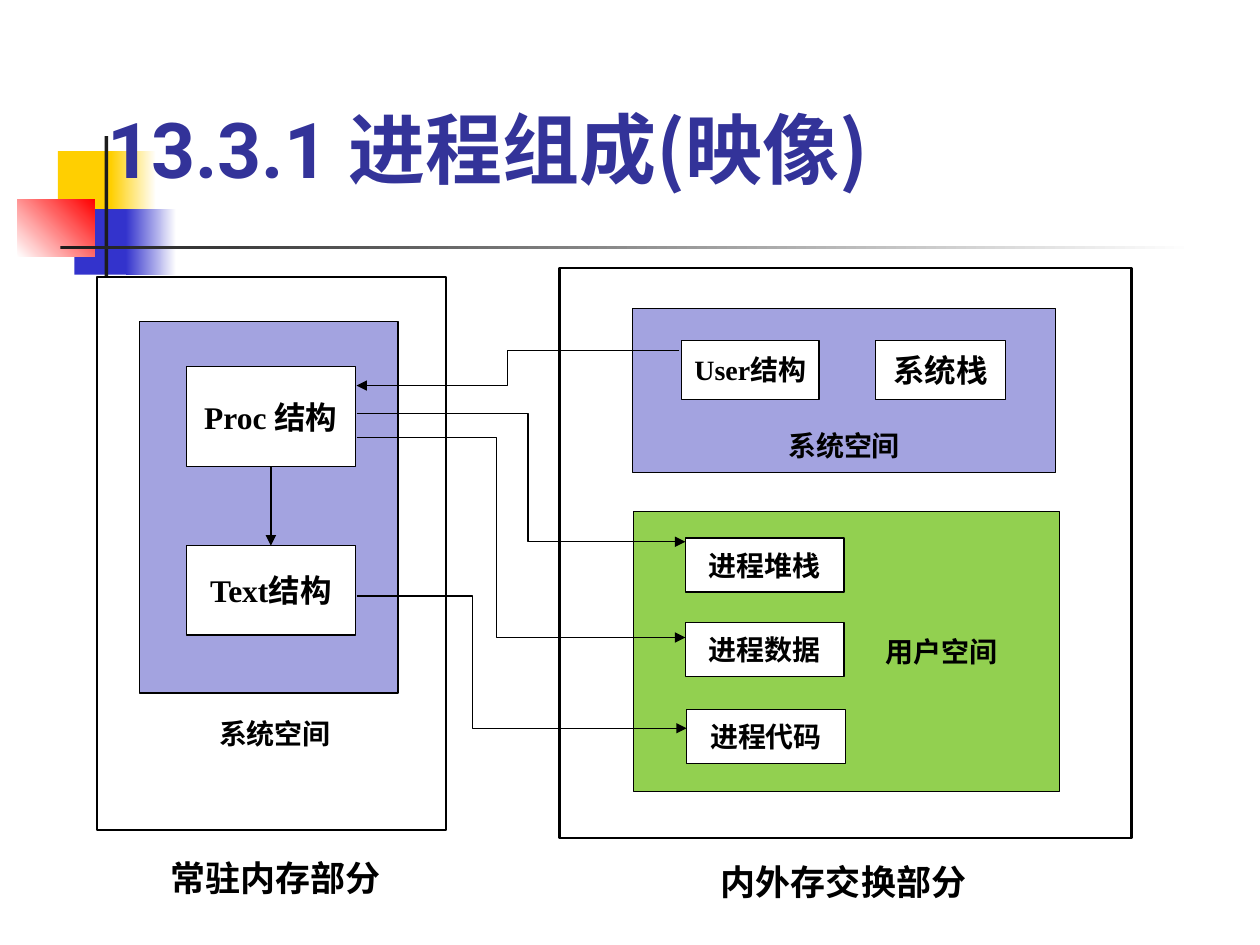
"""Build the slide on the parts of a process image and where they live in memory."""
import pptx
import pptx.util
import pptx.dml.color
import pptx.enum.shapes
import pptx.enum.text
import pptx.oxml.ns
import lxml.etree

Inches = pptx.util.Inches
qn = pptx.oxml.ns.qn
RECT = pptx.enum.shapes.MSO_SHAPE.RECTANGLE
ANCHOR = pptx.enum.text.MSO_ANCHOR
ALIGN = pptx.enum.text.PP_ALIGN


def paint(fill, *colours, angle=0):
    rgbs = [pptx.dml.color.RGBColor.from_string(c) for c in colours]
    if len(rgbs) == 1:
        fill.solid()
        fill.fore_color.rgb = rgbs[0]
    else:
        fill.gradient()
        fill.gradient_angle = angle
        for stop, rgb in zip(fill.gradient_stops, rgbs):
            stop.color.rgb = rgb


def write(tf, text, size=16, font="Times New Roman", colour="000000",
          align=ALIGN.CENTER, anchor=ANCHOR.MIDDLE):
    tf.word_wrap = True
    tf.vertical_anchor = anchor
    p = tf.paragraphs[0]
    p.alignment = align
    r = p.add_run()
    r.text = text
    r.font.size = pptx.util.Pt(size)
    r.font.bold = True
    r.font.name = font
    paint(r.font.fill, colour)
    ea = lxml.etree.SubElement(r.font._element, qn("a:ea"))
    ea.set("typeface", "Noto Sans CJK SC")


prs = pptx.Presentation()
prs.slide_width, prs.slide_height = Inches(10), Inches(7.5)
s = prs.slides.add_slide(prs.slide_layouts[5])

ornaments = [
    (0.46, 1.2, 0.48, 0.52, ["FFCF01"], 0),
    (0.88, 1.2, 0.36, 0.52, ["FFCF01", "FFFFFF"], 0),
    (0.59, 1.66, 0.46, 0.52, ["3333CC"], 0),
    (1, 1.66, 0.4, 0.52, ["3333CC", "FFFFFF"], 0),
    (0.14, 1.58, 0.61, 0.46, ["FFFFFF", "FF0000"], 45),
    (0.83, 1.08, 0.03, 1.15, ["1C1C1C"], 0),
    (0.48, 1.95, 9, 0.03, ["1C1C1C", "FFFFFF"], 0),
]
for x, y, w, h, colours, angle in ornaments:
    sp = s.shapes.add_shape(RECT, Inches(x), Inches(y), Inches(w), Inches(h))
    sp.shadow.inherit = False
    sp.line.fill.background()
    paint(sp.fill, *colours, angle=angle)

title = s.shapes.title
s.shapes._spTree.append(title._element)
title.left, title.top = Inches(0.75), Inches(0.34)
title.width, title.height = Inches(8.5), Inches(1.25)
for text, font in [("13.3.1 进程组成", "Roboto"), ("(映像)", "Noto Sans CJK SC")]:
    write(title.text_frame, text, size=44, font=font, colour="333399",
          align=ALIGN.LEFT, anchor=ANCHOR.BOTTOM)

regions = [
    (0.77, 2.2, 2.77, 4.39, "FFFFFF", 1.25),
    (4.44, 2.13, 4.54, 4.52, "FFFFFF", 1.25),
    (1.11, 2.55, 2.05, 2.95, "A3A3E0", 0.75),
    (5.02, 2.45, 3.36, 1.3, "A3A3E0", 0.75),
    (5.03, 4.06, 3.38, 2.22, "92D050", 0.75),
]
parts = [
    ("Proc 结构", 1.48, 2.91, 1.34, 0.79, 18),
    ("Text结构", 1.48, 4.33, 1.34, 0.71, 18),
    ("User结构", 5.41, 2.7, 1.09, 0.47, 16),
    ("系统栈", 6.95, 2.7, 1.03, 0.47, 18),
    ("进程堆栈", 5.44, 4.27, 1.26, 0.43, 16),
    ("进程数据", 5.44, 4.94, 1.26, 0.43, 16),
    ("进程代码", 5.45, 5.63, 1.26, 0.43, 16),
]
boxes = []
for x, y, w, h, colour, weight in regions + [(*part[1:5], "FFFFFF", 0.75) for part in parts]:
    sp = s.shapes.add_shape(RECT, Inches(x), Inches(y), Inches(w), Inches(h))
    sp.shadow.inherit = False
    paint(sp.fill, colour)
    paint(sp.line.fill, "000000")
    sp.line.width = pptx.util.Pt(weight)
    boxes.append(sp)

swap_system, user_space = boxes[3:5]
swap_system.text_frame.margin_bottom = Inches(0.08)
write(swap_system.text_frame, "系统空间", anchor=ANCHOR.BOTTOM)
user_space.text_frame.margin_left = Inches(1.6)
write(user_space.text_frame, "用户空间")

part_boxes = boxes[len(regions):]
for sp, part in zip(part_boxes, parts):
    write(sp.text_frame, part[0], size=part[5])

captions = [
    ("常驻内存部分", 1.03, 6.75, 2.31, 0.44, 20, ALIGN.CENTER),
    ("内外存交换部分", 5.54, 6.78, 2.31, 0.44, 20, ALIGN.CENTER),
    ("系统空间", 1.64, 5.64, 1.11, 0.37, 16, ALIGN.LEFT),
]
for text, x, y, w, h, size, align in captions:
    tb = s.shapes.add_textbox(Inches(x), Inches(y), Inches(w), Inches(h))
    write(tb.text_frame, text, size=size, align=align, anchor=ANCHOR.TOP)

elbows = [
    (5.39, 2.78, 4.03, 2.83, 3.06),
    (2.83, 3.28, 4.19, 5.44, 4.3),
    (2.83, 3.47, 3.94, 5.44, 5.06),
    (2.83, 4.73, 3.75, 5.45, 5.78),
]
arrows = []
for x1, y1, bend, x2, y2 in elbows:
    fb = s.shapes.build_freeform(Inches(x1), Inches(y1))
    corners = [(bend, y1), (bend, y2), (x2, y2)]
    fb.add_line_segments([(Inches(x), Inches(y)) for x, y in corners], close=False)
    sp = fb.convert_to_shape()
    sp.fill.background()
    arrows.append(sp)

proc, text_box = part_boxes[:2]
cn = s.shapes.add_connector(pptx.enum.shapes.MSO_CONNECTOR.STRAIGHT,
                            Inches(2.15), Inches(3.7), Inches(2.15), Inches(4.33))
cn.begin_connect(proc, 2)
cn.end_connect(text_box, 0)
arrows.append(cn)

for sp in arrows:
    paint(sp.line.fill, "000000")
    sp.line.width = pptx.util.Pt(0.75)
    spPr = sp._element.spPr
    lxml.etree.SubElement(spPr.find(qn("a:ln")), qn("a:tailEnd")).set("type", "triangle")
    lxml.etree.SubElement(spPr, qn("a:effectLst"))

prs.save("out.pptx")
